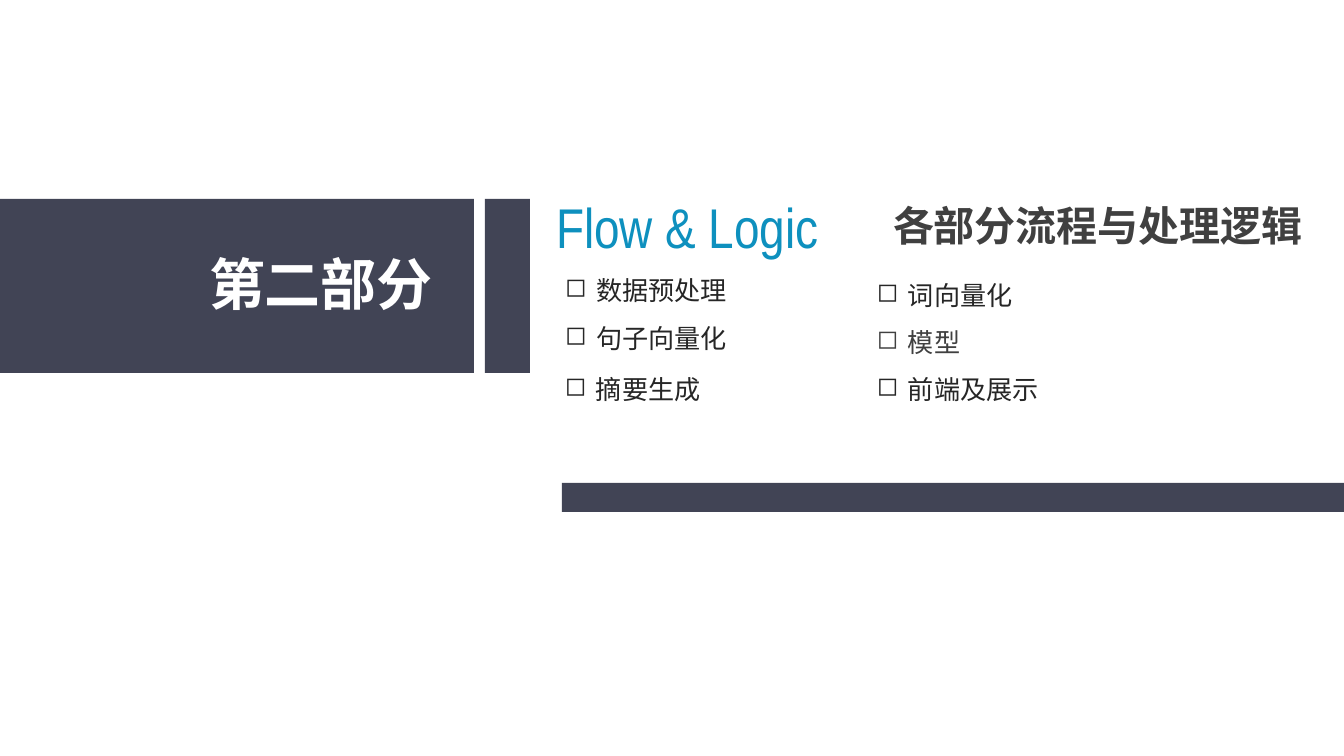
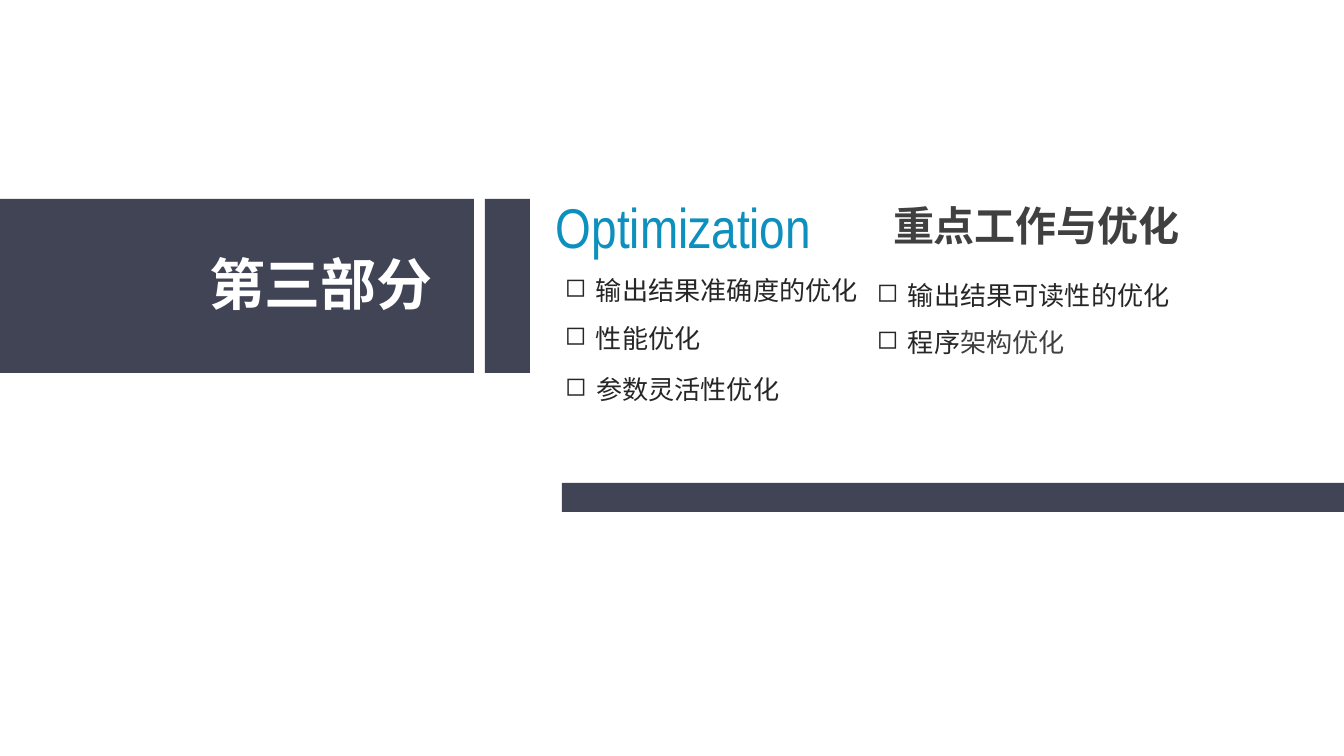
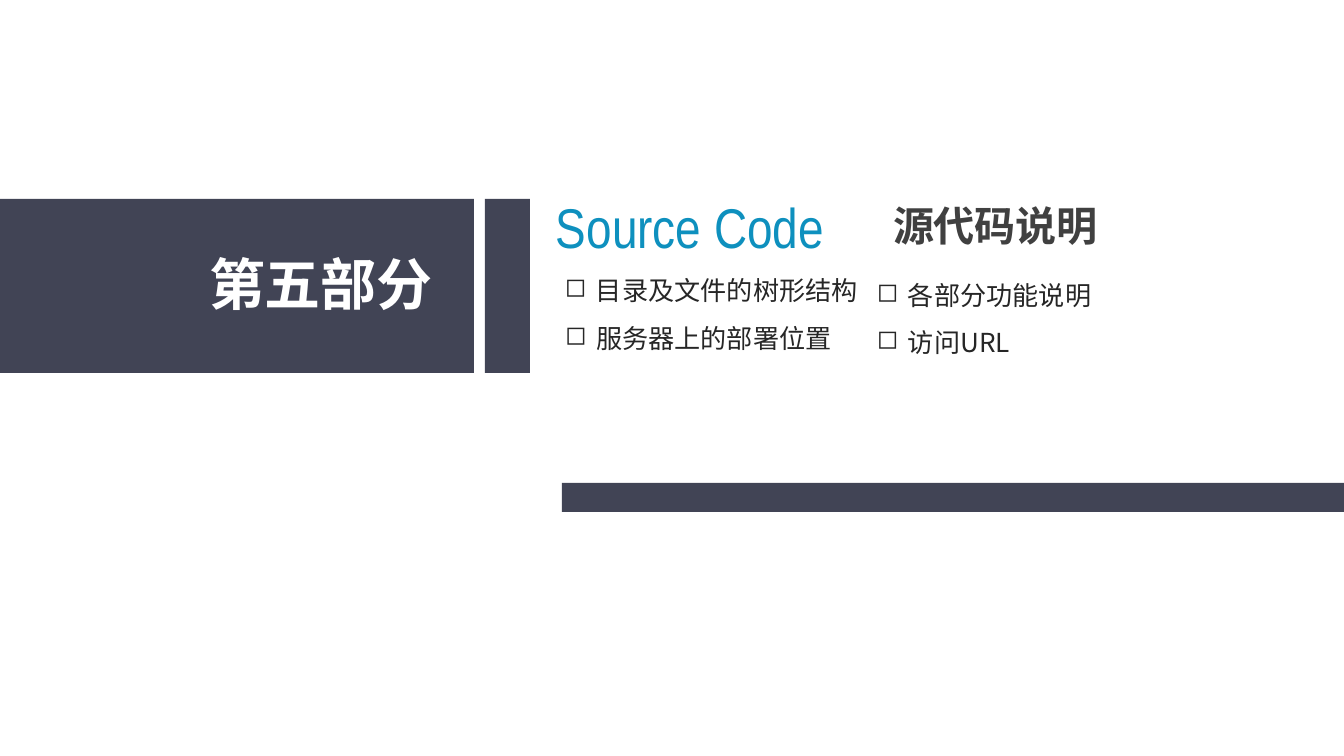
import lxml.etree
import pptx
import pptx.dml.color
import pptx.enum.shapes
import pptx.enum.text
import pptx.oxml.ns
import pptx.util

# Content: each bullet is (dark text, grey text)
PARTS = [
    dict(part="第二部分", name="Flow & Logic", wide=301, topic="各部分流程与处理逻辑",
         left=[("数据预处理", ""), ("句子向量化", ""), ("摘要生成", "")],
         right=[("词向量化", ""), ("", "模型"), ("前端及展示", "")]),
    dict(part="第三部分", name="Optimization", wide=312, topic="重点工作与优化",
         left=[("输出结果准确度的优化", ""), ("性能优化", ""), ("参数灵活性优化", "")],
         right=[("输出结果可读性的优化", ""), ("程序", "架构优化")]),
    dict(part="第五部分", name="Source Code", wide=314, topic="源代码说明",
         left=[("目录及文件的树形结构", ""), ("服务器上的部署位置", "")],
         right=[("各部分功能说明", ""), ("访问URL", "")]),
]

# Shared look
NAVY, BLUE, WHITE, DARK, GREY = "414455", "0E90BE", "FFFFFF", "262626", "404040"
HAN, LATIN = "Noto Sans CJK SC", "Arial Narrow"
BANDS = [(0, 199, 474, 174), (485, 199, 45, 174), (562, 483, 782, 29)]
COLS = {"left": (555, (269, 317, 368)), "right": (867, (274, 321, 368))}
HANG = 31


def px(n):
    return round(n * 914400 / 134.4)


def rgb(code):
    return pptx.dml.color.RGBColor.from_string(code)


def band(shapes, box):
    bar = shapes.add_shape(pptx.enum.shapes.MSO_SHAPE.RECTANGLE, *map(px, box))
    bar.shadow.inherit = False
    bar.fill.solid()
    bar.fill.fore_color.rgb = rgb(NAVY)
    bar.line.fill.background()


def label(shapes, box, runs, size, font=HAN, bold=False):
    """Add one line of text made of (text, colour) runs."""
    frame = shapes.add_textbox(*map(px, box)).text_frame
    frame.word_wrap = False
    frame.auto_size = pptx.enum.text.MSO_AUTO_SIZE.SHAPE_TO_FIT_TEXT
    frame.margin_left = frame.margin_right = px(10)
    frame.margin_top = frame.margin_bottom = px(5)
    para = frame.paragraphs[0]
    for text, color in runs:
        run = para.add_run()
        run.text = text
        run.font.size = pptx.util.Pt(size)
        run.font.bold = bold
        run.font.color.rgb = rgb(color)
        run.font.name = font
        east = lxml.etree.SubElement(run._r.get_or_add_rPr(), pptx.oxml.ns.qn("a:ea"))
        east.set("typeface", font)
    return para


def bullet(shapes, x, y, dark, grey):
    # Latin letters take about two thirds of a Han character
    ems = sum(0.65 if c.isascii() else 1 for c in dark + grey)
    runs = [(t, c) for t, c in ((dark, DARK), (grey, GREY)) if t]
    para = label(shapes, (x, y, round(53 + 26.3 * ems), 42), runs, 14)
    props = para._p.get_or_add_pPr()
    props.set("marL", str(px(HANG)))
    props.set("indent", str(-px(HANG)))
    lxml.etree.SubElement(props, pptx.oxml.ns.qn("a:buChar")).set("char", "◻")


def build(deck, part):
    shapes = deck.slides.add_slide(deck.slide_layouts[6]).shapes
    for box in BANDS:
        band(shapes, box)
    label(shapes, (199, 245, 246, 78), [(part["part"], WHITE)], 30, bold=True)

    # Heading pair
    head = shapes.add_group_shape().shapes
    label(head, (546, 188, part["wide"], 78), [(part["name"], BLUE)], 30, LATIN)
    wide = round(20 + 41.5 * len(part["topic"]))
    label(head, (883, 196, wide, 60), [(part["topic"], GREY)], 22, bold=True)

    # Two columns of bullets
    for side, (x, tops) in COLS.items():
        for y, (dark, grey) in zip(tops, part[side]):
            bullet(shapes, x, y, dark, grey)


def main():
    deck = pptx.Presentation()
    deck.slide_width, deck.slide_height = px(1344), px(756)
    for part in PARTS:
        build(deck, part)
    deck.save("out.pptx")


if __name__ == "__main__":
    main()
